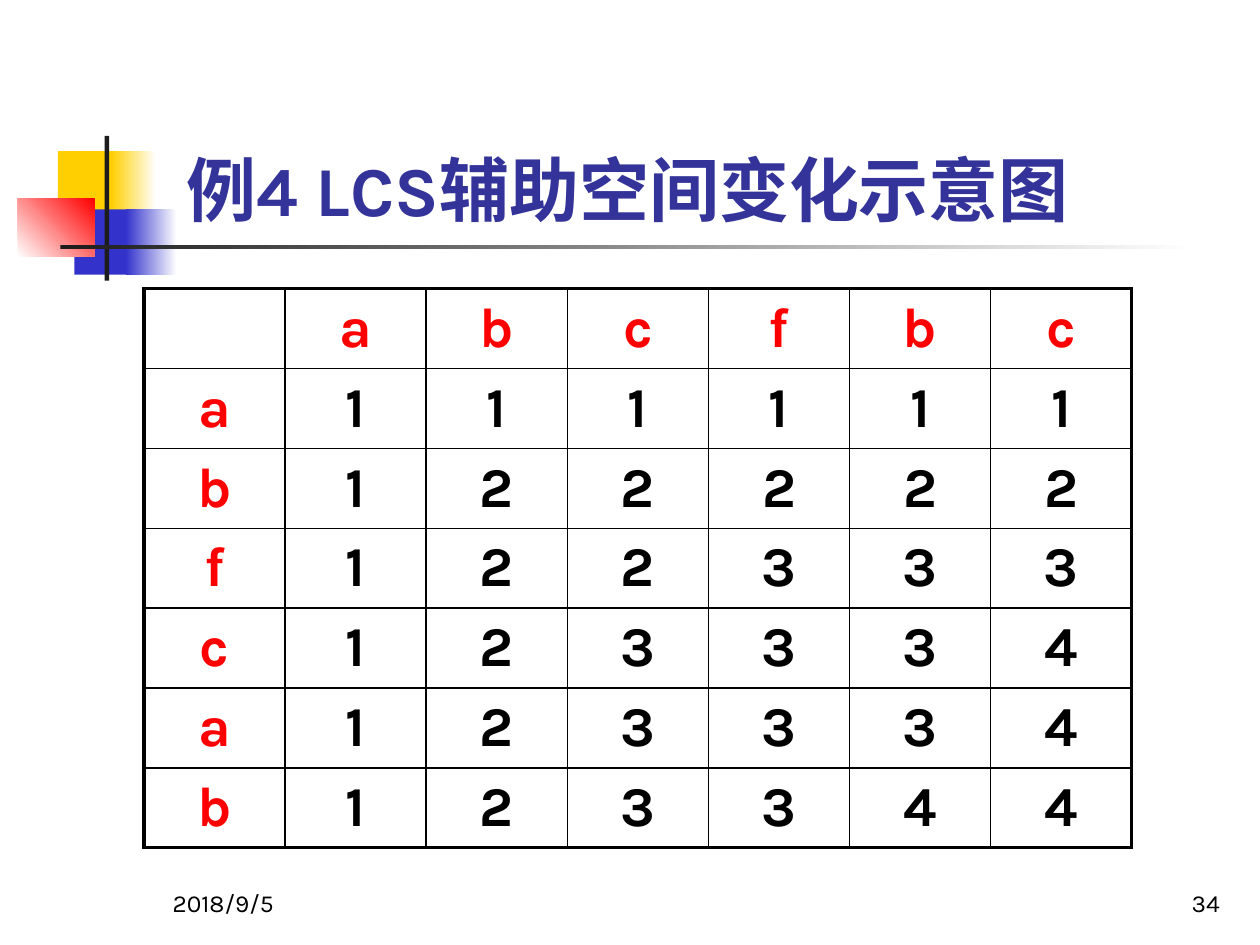
"""Build a slide showing how the LCS auxiliary table is filled."""
from lxml import etree
from pptx import Presentation
from pptx.dml.color import RGBColor
from pptx.enum.shapes import MSO_SHAPE
from pptx.enum.text import MSO_ANCHOR, MSO_AUTO_SIZE, PP_ALIGN
from pptx.oxml.ns import qn
from pptx.util import Cm, Pt

RECT = MSO_SHAPE.RECTANGLE
MIDDLE, BOTTOM = MSO_ANCHOR.MIDDLE, MSO_ANCHOR.BOTTOM
LEFT, CENTER, RIGHT = PP_ALIGN.LEFT, PP_ALIGN.CENTER, PP_ALIGN.RIGHT
NO_AUTOSIZE = MSO_AUTO_SIZE.NONE

THEME = {
    "font": "Karla",
    "title": "333399", "label": "FF0000", "text": "000000",
    "yellow": "FFCF01", "blue": "3333CC", "red": "FF0000",
    "dark": "1C1C1C", "white": "FFFFFF",
    "title_size": 40, "cell_size": 32, "footer_size": 14,
    "thin": 1, "thick": 2.25,
}


def add_run(tf, text, color, size, bold, align):
    p = tf.paragraphs[0]
    p.alignment = align
    r = p.add_run()
    r.text = text
    r.font.name = THEME["font"]
    r.font.size = Pt(THEME[size])
    r.font.bold = bold
    r.font.color.rgb = RGBColor.from_string(THEME[color])


def add_border(cell, side, weight):
    ln = etree.SubElement(cell._tc.get_or_add_tcPr(), qn(f"a:ln{side}"),
                          w=str(Pt(THEME[weight])))
    fill = etree.SubElement(ln, qn("a:solidFill"))
    etree.SubElement(fill, qn("a:srgbClr"), val=THEME["text"])


prs = Presentation()
prs.slide_width, prs.slide_height = Cm(25.4), Cm(19.05)
s = prs.slides.add_slide(prs.slide_layouts[5])

ornaments = [
    (1.17, 3.05, 1.22, 1.32, ["yellow"], 0),
    (2.24, 3.05, 0.91, 1.32, ["yellow", "white"], 0),
    (1.5, 4.22, 1.17, 1.32, ["blue"], 0),
    (2.54, 4.22, 1.02, 1.32, ["blue", "white"], 0),
    (0.36, 4.01, 1.55, 1.17, ["white", "red"], 45),
    (2.11, 2.74, 0.09, 2.92, ["dark"], 0),
    (1.22, 4.94, 22.86, 0.09, ["dark", "white"], 0),
]
for x, y, w, h, colors, angle in ornaments:
    sp = s.shapes.add_shape(RECT, Cm(x), Cm(y), Cm(w), Cm(h))
    sp.shadow.inherit = False
    sp.line.fill.background()
    if len(colors) == 1:
        sp.fill.solid()
        sp.fill.fore_color.rgb = RGBColor.from_string(THEME[colors[0]])
    else:
        sp.fill.gradient()
        sp.fill.gradient_angle = angle
        for stop, color, position in zip(sp.fill.gradient_stops, colors, (0, 1)):
            stop.color.rgb = RGBColor.from_string(THEME[color])
            stop.position = position

title = s.shapes.title
title.left, title.top, title.width, title.height = Cm(3.51), Cm(2.82), Cm(19.51), Cm(1.96)
tf = title.text_frame
tf.auto_size = NO_AUTOSIZE
tf.vertical_anchor = MIDDLE
add_run(tf, "例4 LCS辅助空间变化示意图", "title", "title_size", True, LEFT)

for x, text, align in [(3.23, "2018/9/5", LEFT), (19.56, "34", RIGHT)]:
    tf = s.shapes.add_textbox(Cm(x), Cm(17.35), Cm(5.28), Cm(1.27)).text_frame
    tf.word_wrap = True
    tf.vertical_anchor = BOTTOM
    add_run(tf, text, "text", "footer_size", False, align)

rows = [" abcfbc", "a111111", "b122222", "f122333", "c123334", "a123334", "b123344"]
n = len(rows)
table = s.shapes.add_table(n, n, Cm(2.9), Cm(5.82), Cm(19.92), Cm(11.25)).table
table.first_row = table.horz_banding = False
for i, row in enumerate(rows):
    for j, text in enumerate(row):
        cell = table.cell(i, j)
        cell.vertical_anchor = MIDDLE
        edges = {"L": j == 0, "R": j == n - 1, "T": i == 0, "B": i == n - 1}
        for side, outer in edges.items():
            add_border(cell, side, "thick" if outer else "thin")
        cell.fill.background()
        if text.strip():
            color = "label" if i == 0 or j == 0 else "text"
            add_run(cell.text_frame, text, color, "cell_size", True, CENTER)

prs.save("out.pptx")
